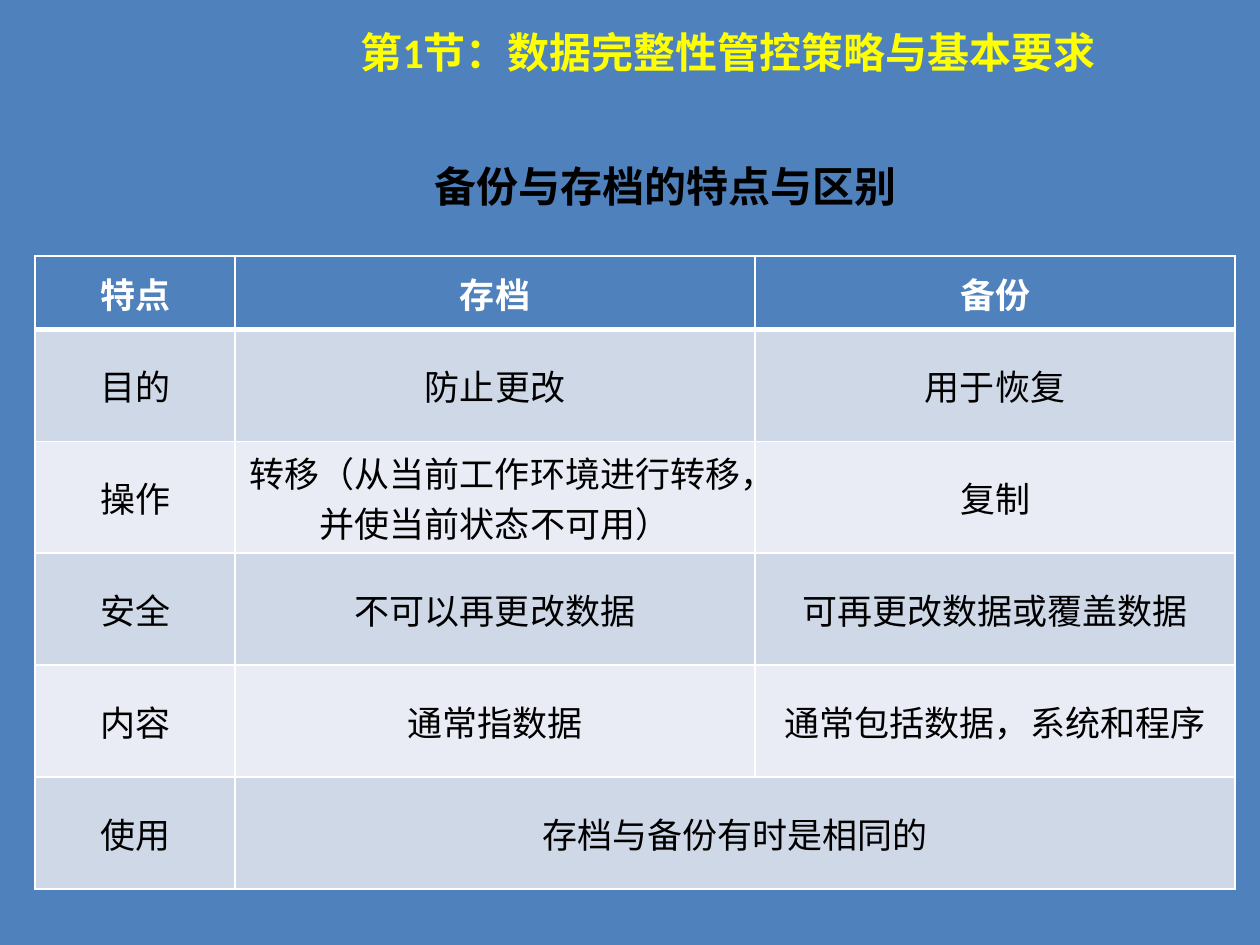
from dataclasses import dataclass

from lxml import etree
from pptx import Presentation
from pptx.dml.color import RGBColor
from pptx.enum.text import MSO_ANCHOR, MSO_AUTO_SIZE, PP_ALIGN
from pptx.oxml.ns import qn
from pptx.util import Cm, Pt

CENTER = PP_ALIGN.CENTER
MIDDLE = MSO_ANCHOR.MIDDLE
GROW = MSO_AUTO_SIZE.SHAPE_TO_FIT_TEXT


@dataclass(frozen=True)
class Theme:
    blue: str = "4F81BD"
    band_dark: str = "CFD8E7"
    band_light: str = "E9ECF4"
    white: str = "FFFFFF"
    black: str = "000000"
    yellow: str = "FFFF00"
    heading_size: int = 24
    table_size: int = 20
    thin: int = 1
    thick: int = 3


THEME = Theme()

HEADER = ("特点", "存档", "备份")
COMPARISON = (
    ("目的", "防止更改", "用于恢复"),
    ("操作", "转移（从当前工作环境进行转移，并使当前状态不可用）", "复制"),
    ("安全", "不可以再更改数据", "可再更改数据或覆盖数据"),
    ("内容", "通常指数据", "通常包括数据，系统和程序"),
    ("使用", "存档与备份有时是相同的", ""),
)


def add_run(paragraph, text, font, size, color, bold):
    paragraph.alignment = CENTER
    run = paragraph.add_run()
    run.text = text
    run.font.name = font
    run.font.size = Pt(size)
    run.font.bold = bold
    run.font.color.rgb = RGBColor.from_string(color)


def add_heading(slide, box, text, font, color, wrap):
    frame = slide.shapes.add_textbox(*box).text_frame
    frame.word_wrap = wrap
    paragraph = frame.paragraphs[0]
    add_run(paragraph, text, font, THEME.heading_size, color, True)
    return frame


def add_section_title(slide, box):
    add_heading(slide, box, "第1节：数据完整性管控策略与基本要求",
                "Calibri", THEME.yellow, True)


def add_table_title(slide, box):
    frame = add_heading(slide, box, "备份与存档的特点与区别",
                        "Times New Roman", THEME.black, False)
    frame.auto_size = GROW
    paragraph = frame.paragraphs[0]
    paragraph.space_before = Pt(0.2 * THEME.heading_size)
    hanging = Cm(0.95)
    properties = paragraph._p.get_or_add_pPr()
    properties.set("marL", str(hanging))
    properties.set("indent", str(-hanging))


def set_borders(cell, widths):
    properties = cell._tc.get_or_add_tcPr()
    for position, (side, width) in enumerate(widths.items()):
        line = etree.Element(qn(f"a:ln{side}"), w=str(Pt(width)))
        fill = etree.SubElement(line, qn("a:solidFill"))
        etree.SubElement(fill, qn("a:srgbClr"), val=THEME.white)
        properties.insert(position, line)


def style_cell(cell, row):
    fill = THEME.band_dark if row % 2 else THEME.band_light
    cell.fill.solid()
    cell.fill.fore_color.rgb = RGBColor.from_string(fill if row else THEME.blue)
    cell.vertical_anchor = MIDDLE
    cell.margin_top = cell.margin_bottom = Cm(0.1)
    set_borders(cell, {
        "L": THEME.thin,
        "R": THEME.thin,
        "T": THEME.thick if row == 1 else THEME.thin,
        "B": THEME.thick if row == 0 else THEME.thin,
    })


def add_comparison_table(slide, box):
    rows = (HEADER, *COMPARISON)
    left, top, width, height = box
    table = slide.shapes.add_table(len(rows), len(HEADER), *box).table
    feature_width, archive_width = Cm(4.03), Cm(10.48)
    backup_width = width - feature_width - archive_width
    for column, column_width in zip(
            table.columns, (feature_width, archive_width, backup_width)):
        column.width = column_width

    header_height = Cm(1.48)
    body_height = (height - header_height) // len(COMPARISON)
    for row, labels in enumerate(rows):
        table.rows[row].height = body_height if row else header_height
        for column, label in enumerate(labels):
            cell = table.cell(row, column)
            style_cell(cell, row)
            if label:
                add_run(cell.text_frame.paragraphs[0], label, "Arial",
                        THEME.table_size,
                        THEME.black if row else THEME.white, row == 0)

    last_row = len(rows) - 1
    table.cell(last_row, 1).merge(table.cell(last_row, 2))


def main():
    presentation = Presentation()
    presentation.slide_width = Cm(25.4)
    presentation.slide_height = Cm(19.05)
    slide = presentation.slides.add_slide(presentation.slide_layouts[6])
    background = slide.background.fill
    background.solid()
    background.fore_color.rgb = RGBColor.from_string(THEME.blue)

    add_table_title(slide, (Cm(8.5), Cm(3.12), Cm(9.83), Cm(1.28)))
    add_comparison_table(slide, (Cm(0.71), Cm(5.16), Cm(24.19), Cm(12.76)))
    add_section_title(slide, (Cm(3.25), Cm(0.4), Cm(22.86), Cm(1.68)))
    presentation.save("out.pptx")


if __name__ == "__main__":
    main()
